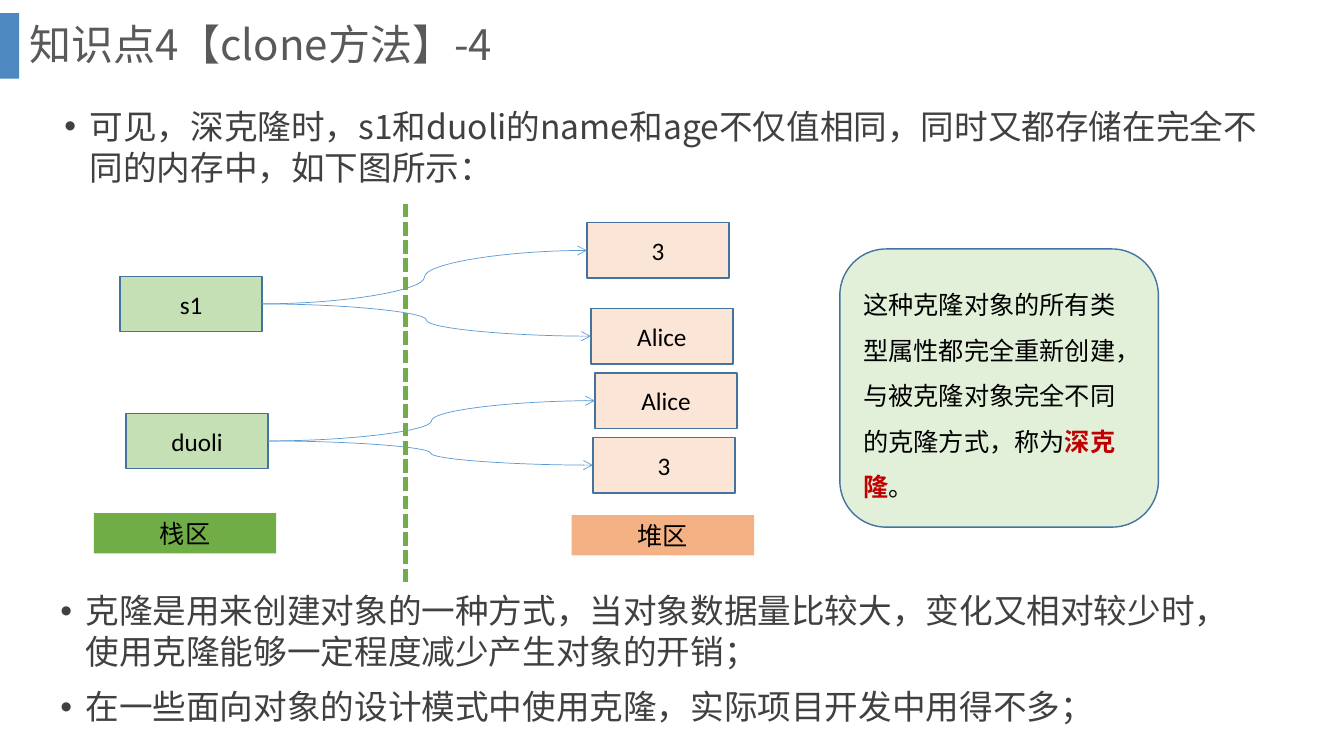
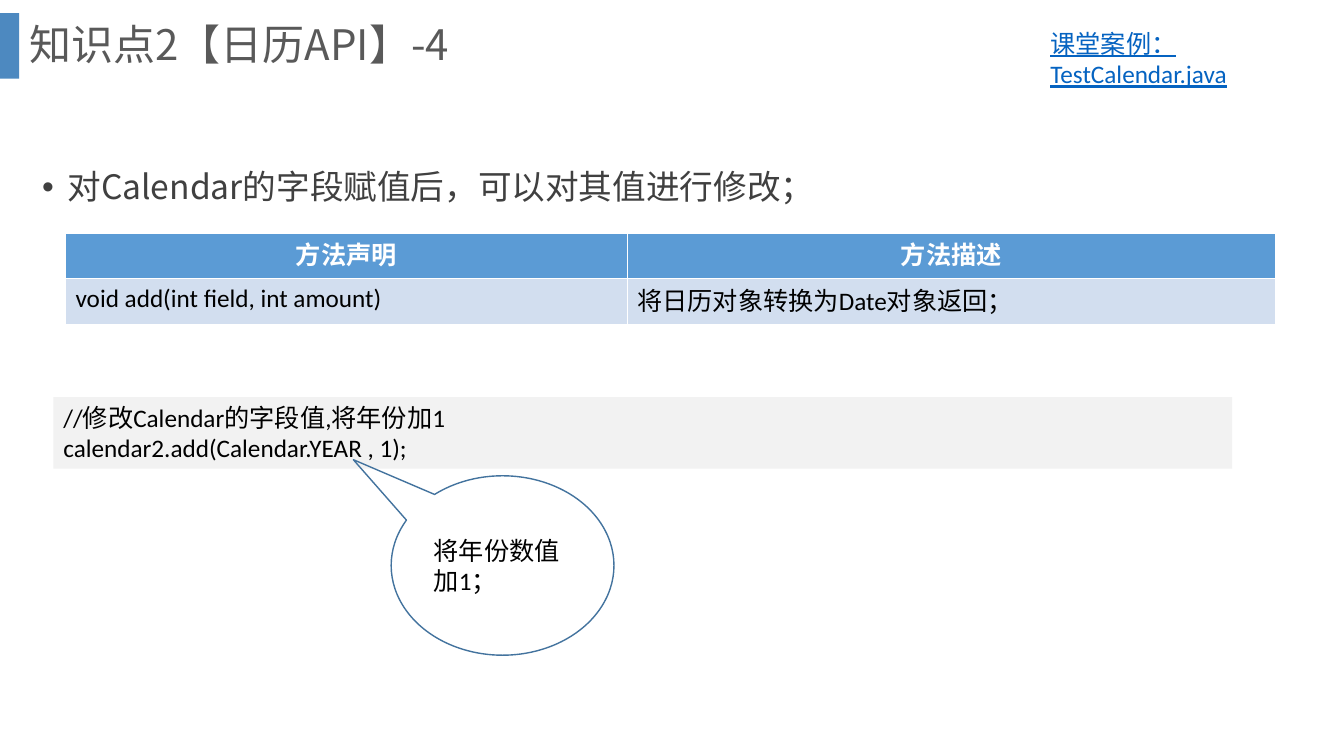
from dataclasses import dataclass

from lxml import etree
from pptx import Presentation
from pptx.dml import color
from pptx.enum import dml, lang, shapes, text
from pptx.oxml import ns
from pptx.util import Inches, Pt


@dataclass(frozen=True)
class Theme:
    """Colours, fonts and type sizes shared by the slides."""
    band: str = "2E75B6"
    heading: str = "595959"
    body: str = "404040"
    ink: str = "000000"
    white: str = "FFFFFF"
    outline: str = "43739E"
    accent: str = "5B9BD5"
    row: str = "D2DEEF"
    link: str = "0563C1"
    emphasis: str = "C00000"
    stack: str = "C5E0B4"
    stack_label: str = "70AD47"
    heap: str = "FBE5D6"
    heap_label: str = "F4B183"
    note: str = "E2F0D9"
    code: str = "F2F2F2"
    main_font: str = "Noto Sans CJK SC"
    small_font: str = "Calibri"
    title_size: int = 30
    body_size: int = 24
    small_size: int = 18


THEME = Theme()
ALIGN = text.PP_ALIGN
ANCHOR = text.MSO_ANCHOR
SHAPE = shapes.MSO_SHAPE


def rgb(value):
    """Turn a hex string into a colour."""
    return color.RGBColor.from_string(value)


def add_xml(parent, tag, **attributes):
    """Append a DrawingML element to its parent."""
    return etree.SubElement(parent, ns.qn(tag), attributes)


def add_run(paragraph, words, *, size=THEME.small_size, font=THEME.small_font,
            ink=THEME.ink, bold=False, underline=False):
    """Add one formatted run to a paragraph."""
    run = paragraph.add_run()
    run.text = words
    run.font.size = Pt(size)
    run.font.name = font
    run.font.bold = bold
    run.font.underline = underline
    run.font.color.rgb = rgb(ink)
    run.font.language_id = lang.MSO_LANGUAGE_ID.SIMPLIFIED_CHINESE
    latin = run.font._element.find(ns.qn("a:latin"))
    east_asian = etree.Element(ns.qn("a:ea"), typeface=font)
    latin.addnext(east_asian)


def write(frame, paragraphs, *, align=ALIGN.LEFT, anchor=ANCHOR.TOP, spacing=None,
          before=0, bullet=False, **style):
    """Fill a frame with paragraphs, each a string or a list of (words, style) runs."""
    frame.word_wrap = True
    frame.vertical_anchor = anchor
    for index, content in enumerate(paragraphs):
        paragraph = frame.paragraphs[0] if index == 0 else frame.add_paragraph()
        paragraph.alignment = align
        paragraph.line_spacing = spacing
        paragraph.space_before = Pt(before)
        if bullet:
            properties = paragraph._p.get_or_add_pPr()
            properties.set("marL", str(Inches(0.25)))
            properties.set("indent", str(-Inches(0.25)))
            add_xml(properties, "a:buFont", typeface="Arial")
            add_xml(properties, "a:buChar", char="•")
        runs = [(content, {})] if isinstance(content, str) else content
        for words, changes in runs:
            add_run(paragraph, words, **{**style, **changes})


def add_text(slide, box, paragraphs, **style):
    """Add a wrapped text box."""
    shape = slide.shapes.add_textbox(*map(Inches, box))
    write(shape.text_frame, paragraphs, **style)


def add_bullets(slide, box, paragraphs, spacing=Pt(29.3)):
    """Add the bulleted body text."""
    add_text(slide, box, paragraphs, bullet=True, before=10, spacing=spacing,
             size=THEME.body_size, font=THEME.main_font, ink=THEME.body)


def add_box(slide, box, paragraphs=(), *, kind=SHAPE.RECTANGLE, fill=None,
            outline=None, **style):
    """Add a flat preset shape with optional fill, outline and text."""
    shape = slide.shapes.add_shape(kind, *map(Inches, box))
    shape.shadow.inherit = False
    if fill:
        shape.fill.solid()
        shape.fill.fore_color.rgb = rgb(fill)
    else:
        shape.fill.background()
    if outline:
        shape.line.color.rgb = rgb(outline)
        shape.line.width = Pt(1)
    else:
        shape.line.fill.background()
    write(shape.text_frame, paragraphs, **style)
    return shape


def add_line(slide, kind, start, end, ink, width):
    """Add a connector without a shadow."""
    line = slide.shapes.add_connector(kind, *map(Inches, (*start, *end)))
    line.line.color.rgb = rgb(ink)
    line.line.width = Pt(width)
    add_xml(line._element.spPr, "a:effectLst")
    return line


def add_reference(slide, source, target):
    """Draw a curved arrow from a variable to the value it refers to."""
    line = add_line(slide, shapes.MSO_CONNECTOR.CURVE, (0, 0), (1, 1), THEME.accent, 0.5)
    line.begin_connect(source, 3)
    line.end_connect(target, 1)
    add_xml(line.line._get_or_add_ln(), "a:tailEnd", type="arrow")


def add_titled_slide(presentation, heading):
    """Add a slide with the side band and the title."""
    slide = presentation.slides.add_slide(presentation.slide_layouts[5])
    band = add_box(slide, (0, 0.13, 0.19, 0.65), fill=THEME.band)
    fill_color = band._element.spPr.find(ns.qn("a:solidFill"))[0]
    add_xml(fill_color, "a:alpha", val="85000")
    title = slide.shapes.title
    title.left, title.top, title.width, title.height = map(Inches, (0.19, 0, 12.66, 0.93))
    write(title.text_frame, [heading], anchor=ANCHOR.MIDDLE, spacing=0.9,
          size=THEME.title_size, font=THEME.main_font, ink=THEME.heading)
    return slide


def add_memory_diagram(slide, left, top):
    """Draw the variables on the stack and their values on the heap."""
    def cell(words, x, y, fill):
        return add_box(slide, (left + x, top + y, 1.41, 0.55), [words], fill=fill,
                       outline=THEME.outline, align=ALIGN.CENTER, anchor=ANCHOR.MIDDLE)

    variables = [
        ("s1", 0.26, 0.72, [("3", 4.89, 0.19), ("Alice", 4.93, 1.04)]),
        ("duoli", 0.32, 2.08, [("Alice", 4.97, 1.68), ("3", 4.95, 2.32)]),
    ]
    for name, x, y, values in variables:
        variable = cell(name, x, y, THEME.stack)
        for value in values:
            add_reference(slide, variable, cell(*value, THEME.heap))
    labels = [("栈区", 0, 3.07, THEME.stack_label), ("堆区", 4.74, 3.09, THEME.heap_label)]
    for words, x, y, fill in labels:
        add_box(slide, (left + x, top + y, 1.81, 0.4), [words], fill=fill,
                align=ALIGN.CENTER)
    divider = add_line(slide, shapes.MSO_CONNECTOR.STRAIGHT, (left + 3.09, top),
                       (left + 3.09, top + 3.79), THEME.stack_label, 3.25)
    divider.line.dash_style = dml.MSO_LINE.SQUARE_DOT


def add_method_table(slide, left, top):
    """Add the table of method declarations."""
    widths, heights = (5.57, 6.43), (0.44, 0.46)
    rows = [("方法声明", "方法描述"),
            ("void add(int field, int amount)", "将日历对象转换为Date对象返回；")]
    frame = slide.shapes.add_table(len(rows), len(widths), *map(
        Inches, (left, top, sum(widths), sum(heights))))
    table = frame.table
    for column, width in zip(table.columns, widths):
        column.width = Inches(width)
    for index, (row, height, words) in enumerate(zip(table.rows, heights, rows)):
        header = index == 0
        row.height = Inches(height)
        for position, (cell, label) in enumerate(zip(row.cells, words)):
            cell.fill.solid()
            cell.fill.fore_color.rgb = rgb(THEME.accent if header else THEME.row)
            write(cell.text_frame, [label], bold=header,
                  align=ALIGN.CENTER if header else ALIGN.LEFT,
                  ink=THEME.white if header else THEME.ink)
            cell.vertical_anchor = ANCHOR.MIDDLE if header or position else ANCHOR.TOP


def build_clone_slide(presentation):
    """Build the slide on deep cloning."""
    slide = add_titled_slide(presentation, "知识点4【clone方法】-4")
    add_bullets(slide, (0.54, 0.99, 12.05, 0.99), [
        "可见，深克隆时，s1和duoli的name和age不仅值相同，同时又都存储在完全不同的内存中，如下图所示："])
    add_memory_diagram(slide, 0.93, 2.02)
    definition = [
        ("这种克隆对象的所有类型属性都完全重新创建，与被克隆对象完全不同的克隆方式，称为", {}),
        ("深克隆", {"ink": THEME.emphasis, "bold": True}),
        ("。", {}),
    ]
    add_box(slide, (8.33, 2.47, 3.16, 2.76), [definition], kind=SHAPE.ROUNDED_RECTANGLE,
            fill=THEME.note, outline=THEME.outline, anchor=ANCHOR.MIDDLE, spacing=1.5)
    add_bullets(slide, (0.5, 5.8, 12.05, 1.43), [
        "克隆是用来创建对象的一种方式，当对象数据量比较大，变化又相对较少时，使用克隆能够一定程度减少产生对象的开销；",
        "在一些面向对象的设计模式中使用克隆，实际项目开发中用得不多；"])


def build_calendar_slide(presentation):
    """Build the slide on changing calendar fields."""
    slide = add_titled_slide(presentation, "知识点2【日历API】-4")
    add_bullets(slide, (0.32, 1.39, 12.05, 1.13),
                ["对Calendar的字段赋值后，可以对其值进行修改；"], spacing=Pt(44))
    add_method_table(slide, 0.65, 2.32)
    add_box(slide, (0.53, 3.94, 11.69, 0.71), [
        "//修改Calendar的字段值,将年份加1", "calendar2.add(Calendar.YEAR , 1);"],
        fill=THEME.code)
    linked = {"ink": THEME.link, "underline": True}
    add_text(slide, (10.32, 0.23, 2.77, 0.71), [
        [("课堂案例：", linked), (" ", {}), ("TestCalendar.java", linked)]])
    callout = add_box(slide, (3.88, 4.72, 2.21, 1.78), ["将年份数值加1；"],
                      kind=SHAPE.OVAL_CALLOUT, outline=THEME.outline, anchor=ANCHOR.MIDDLE)
    callout.adjustments[0] = -0.67
    callout.adjustments[1] = -0.59


def main():
    """Build and save the presentation."""
    presentation = Presentation()
    presentation.slide_width = Inches(13.33)
    presentation.slide_height = Inches(7.5)
    build_clone_slide(presentation)
    build_calendar_slide(presentation)
    presentation.save("out.pptx")


if __name__ == "__main__":
    main()
